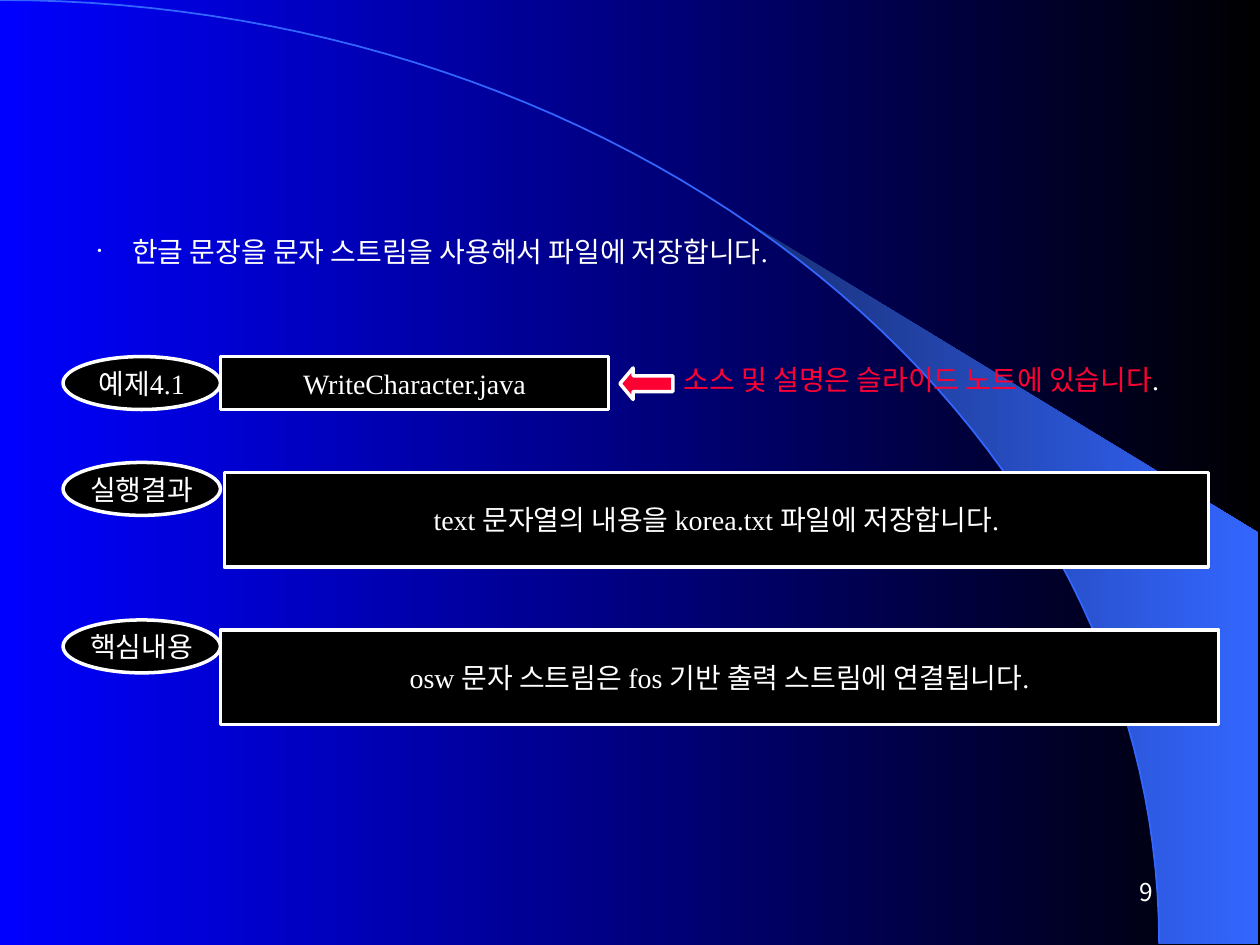
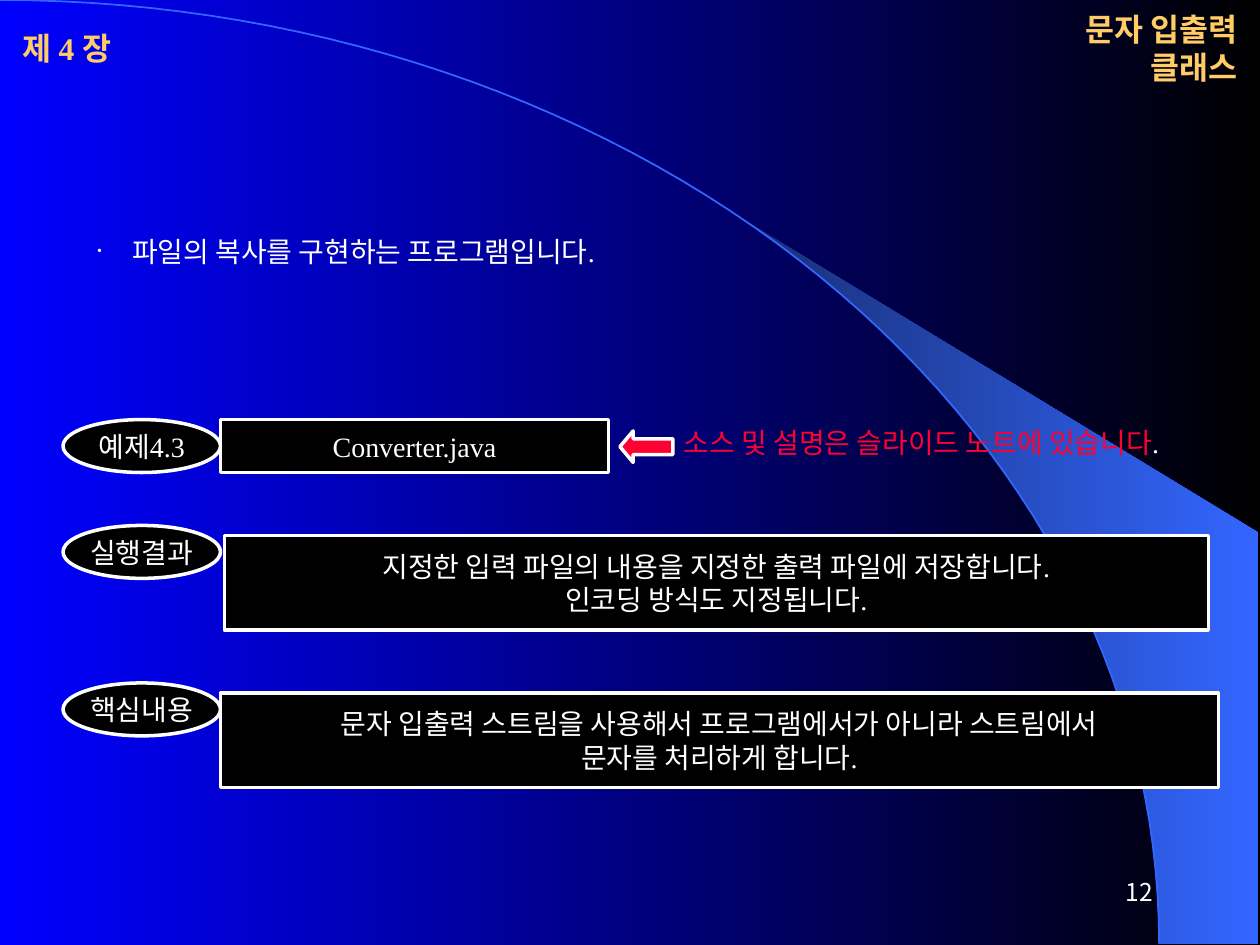
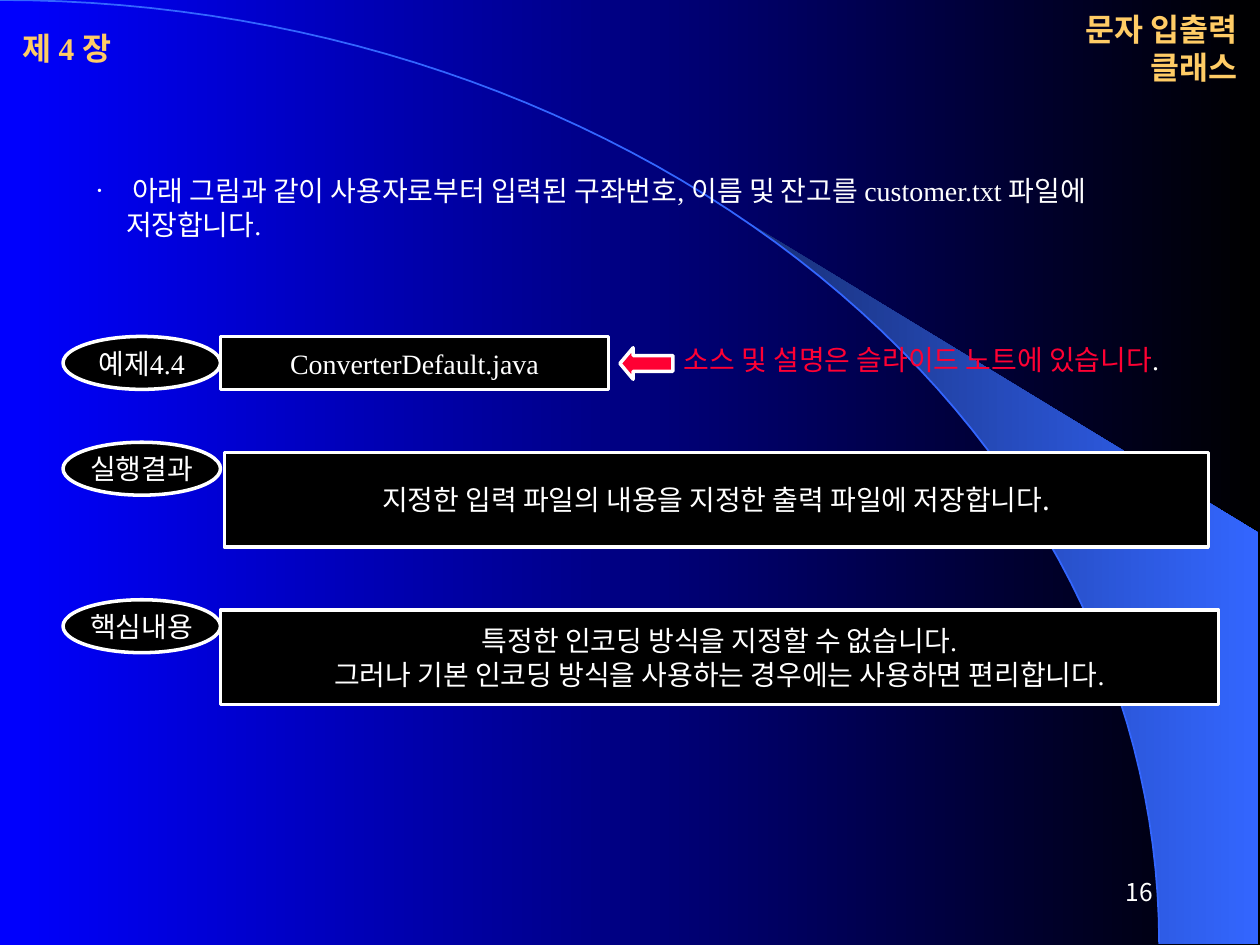
"""Builds three example slides of a Korean lesson on character streams."""
from math import asin, cos, pi, sin

from lxml.etree import SubElement
from pptx import Presentation
from pptx.dml.color import RGBColor
from pptx.enum.shapes import MSO_SHAPE as Shape
from pptx.enum.text import MSO_ANCHOR as Anchor, MSO_AUTO_SIZE as AutoSize, PP_ALIGN as Align
from pptx.oxml.ns import qn
from pptx.util import Inches, Pt

LATIN, KOREAN = "Times New Roman", "Noto Sans CJK KR"
BLUE, BLACK, WHITE, RED, GOLD = "0000FF", "000000", "FFFFFF", "FF0033", "FFCC66"
NAVY, SKY = "182F76", "3366FF"
CHAPTER, TITLE = "제 4 장", "문자 입출력 클래스"
NOTE = [("소스 및 설명은 슬라이드 노트에 있습니다", RED), (".", WHITE)]

SLIDES = [
    {"number": "9", "headed": False, "intro_at": (1.81, 0.37), "top": 2.83,
     "intro": " 한글 문장을 문자 스트림을 사용해서 파일에 저장합니다.",
     "example": "예제4.1", "source": "WriteCharacter.java", "result_font": LATIN,
     "result": ["text 문자열의 내용을 korea.txt 파일에 저장합니다."],
     "key": ["osw 문자 스트림은 fos 기반 출력 스트림에 연결됩니다."]},
    {"number": "12", "headed": True, "intro_at": (1.81, 0.37), "top": 3.33,
     "intro": " 파일의 복사를 구현하는 프로그램입니다.",
     "example": "예제4.3", "source": "Converter.java", "result_font": LATIN,
     "result": ["지정한 입력 파일의 내용을 지정한 출력 파일에 저장합니다.",
                "인코딩 방식도 지정됩니다."],
     "key": ["문자 입출력 스트림을 사용해서 프로그램에서가 아니라 스트림에서",
             "문자를 처리하게 합니다."]},
    {"number": "16", "headed": True, "intro_at": (1.33, 0.64), "top": 2.67,
     "intro": " 아래 그림과 같이 사용자로부터 입력된 구좌번호, 이름 및 잔고를 customer.txt 파일에 저장합니다.",
     "example": "예제4.4", "source": "ConverterDefault.java", "result_font": KOREAN,
     "result": ["지정한 입력 파일의 내용을 지정한 출력 파일에 저장합니다."],
     "key": ["특정한 인코딩 방식을 지정할 수 없습니다.",
             "그러나 기본 인코딩 방식을 사용하는 경우에는 사용하면 편리합니다."]},
]


def color(value):
    return RGBColor.from_string(value)


def place(shape, left, top, width, height):
    shape.left, shape.top = Inches(left), Inches(top)
    shape.width, shape.height = Inches(width), Inches(height)


def gradient(fill, start, end):
    fill.gradient()
    fill.gradient_angle = 0
    for stop, value in zip(fill.gradient_stops, (start, end)):
        stop.color.rgb = color(value)


def write(shape, lines, size=16, align=Align.LEFT, font=LATIN, bold=False,
          anchor=Anchor.MIDDLE, wrap=False):
    frame = shape.text_frame
    frame.auto_size = AutoSize.NONE
    frame.word_wrap, frame.vertical_anchor = wrap, anchor
    for index, spans in enumerate(lines):
        para = frame.add_paragraph() if index else frame.paragraphs[0]
        para.alignment, para.space_before = align, Pt(0)
        for text, value in spans:
            span = para.add_run()
            span.text = text
            span.font.size, span.font.bold, span.font.name = Pt(size), bold, font
            span.font.color.rgb = color(value)
            SubElement(span.font._element, qn("a:ea"), typeface=KOREAN)


def add_text(page, at, spans, **style):
    box = page.shapes.add_textbox(*map(Inches, at))
    write(box, [spans], **style)


def add_block(page, kind, at, lines=(), fill=BLACK, font=LATIN):
    block = page.shapes.add_shape(kind, *map(Inches, at))
    block.shadow.inherit = False
    block.fill.solid()
    block.fill.fore_color.rgb = color(fill)
    block.line.color.rgb, block.line.width = color(WHITE), Pt(2)
    write(block, [[(line, WHITE)] for line in lines], align=Align.CENTER, font=font)
    return block


def add_outline(page, points, close):
    points = [(Inches(x), Inches(y)) for x, y in points]
    builder = page.shapes.build_freeform(*points[0], scale=1.0)
    builder.add_line_segments(points[1:], close=close)
    outline = builder.convert_to_shape()
    outline.shadow.inherit = False
    return outline


def arc(start, steps=60):
    """Points of the quarter ellipse from an angle to its lower right end."""
    angles = [start + (pi / 2 - start) * step / steps for step in range(steps + 1)]
    return [(9.2 * sin(angle), 7.49 * (1 - cos(angle))) for angle in angles]


def decorate(master, page):
    """Draw the shared background and move its outlines to the master."""
    gradient(master.background.fill, BLUE, BLACK)
    wing = add_outline(page, arc(asin(5.89 / 9.2)) + [(9.99, 7.49), (9.99, 4.23)], True)
    gradient(wing.fill, NAVY, SKY)
    wing.line.fill.background()
    curve = add_outline(page, arc(0), False)
    curve.fill.background()
    curve.line.color.rgb, curve.line.width = color(SKY), Pt(1)
    for outline in (wing, curve):
        master.element.cSld.spTree.append(outline.element)


def add_intro(body, text, top, height):
    place(body, 0.67, top, 8.5, height)
    write(body, [[(text, WHITE)]], anchor=Anchor.TOP, wrap=True)
    props = body.text_frame.paragraphs[0]._p.get_or_add_pPr()
    props.set("marL", str(Inches(0.23)))
    props.set("indent", str(-Inches(0.23)))
    SubElement(SubElement(props, qn("a:buClr")), qn("a:srgbClr"), val=WHITE)
    SubElement(props, qn("a:buSzPct"), val="50000")
    SubElement(props, qn("a:buFont"), typeface=LATIN)
    SubElement(props, qn("a:buChar"), char="•")


def fill_page(page, content):
    title, body = page.placeholders
    if content["headed"]:
        add_text(page, (0.08, 0.17, 1.42, 0.42), [(CHAPTER, GOLD)], size=18, bold=True)
        place(title, 8.42, 0.17, 1.5, 0.42)
        write(title, [[(TITLE, GOLD)]], size=18, align=Align.RIGHT, bold=True)
    else:
        title.element.getparent().remove(title.element)
    add_intro(body, content["intro"], *content["intro_at"])
    add_text(page, (7.17, 6.83, 2.08, 0.5), [(content["number"], WHITE)],
             size=14, align=Align.RIGHT, font=KOREAN, wrap=True)

    top = content["top"]
    labels = [(0, content["example"]), (0.84, "실행결과"), (2.09, "핵심내용")]
    for offset, label in labels:
        add_block(page, Shape.OVAL, (0.5, top + offset, 1.25, 0.42), [label])
    add_block(page, Shape.RECTANGLE, (1.75, top, 3.08, 0.42), [content["source"]])
    add_block(page, Shape.RECTANGLE, (1.78, top + 0.92, 7.81, 0.75),
              content["result"], font=content["result_font"])
    add_block(page, Shape.RECTANGLE, (1.75, top + 2.17, 7.92, 0.75), content["key"])
    add_text(page, (5.33, top, 4.42, 0.37), NOTE, anchor=Anchor.TOP, wrap=True)
    arrow = add_block(page, Shape.LEFT_ARROW, (4.92, top + 0.09, 0.42, 0.25), fill=RED)
    arrow.adjustments[0], arrow.adjustments[1] = 0.5, 0.42


def main():
    deck = Presentation()
    deck.slide_width, deck.slide_height = Inches(10), Inches(7.5)
    pages = [deck.slides.add_slide(deck.slide_layouts[1]) for _ in SLIDES]
    decorate(deck.slide_master, pages[0])
    for page, content in zip(pages, SLIDES):
        fill_page(page, content)
    deck.save("out.pptx")


if __name__ == "__main__":
    main()
